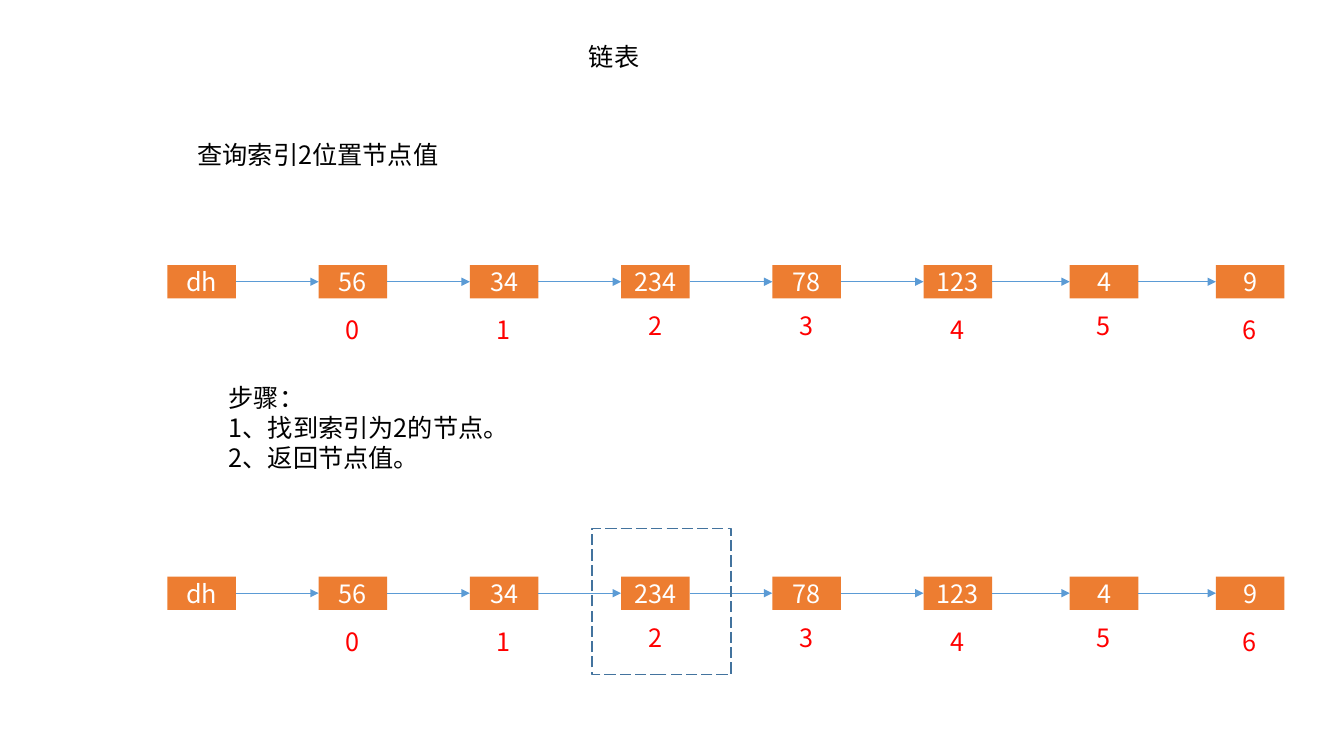
from dataclasses import dataclass
from itertools import pairwise

from lxml.etree import SubElement
from pptx import Presentation
from pptx.dml.color import RGBColor
from pptx.enum.dml import MSO_LINE
from pptx.enum.shapes import MSO_CONNECTOR, MSO_SHAPE
from pptx.enum.text import MSO_ANCHOR, MSO_AUTO_SIZE, PP_ALIGN
from pptx.oxml.ns import qn
from pptx.util import Inches, Pt


@dataclass(frozen=True)
class Theme:
    font: str = "Noto Sans CJK SC"
    size: Pt = Pt(18)
    ink: RGBColor = RGBColor(0, 0, 0)
    light: RGBColor = RGBColor(255, 255, 255)
    node: RGBColor = RGBColor.from_string("ED7D31")
    index: RGBColor = RGBColor(255, 0, 0)
    arrow: RGBColor = RGBColor.from_string("5B9BD5")
    frame: RGBColor = RGBColor.from_string("43739E")
    thin: Pt = Pt(0.5)
    edge: Pt = Pt(1)


THEME = Theme()
NODES = ["dh", "56", "34", "234", "78", "123", "4", "9"]
LEFTS = [1.66 + 1.5 * min(i, 5) + 1.45 * max(i - 5, 0) for i in range(len(NODES))]
RAISED = {2, 3, 5}
NODE_W, NODE_H = 0.68, 0.33
LABEL_W, LABEL_H = 0.34, 0.4


def apply(item, values):
    for name, value in values.items():
        setattr(item, name, value)


def place(shape, box):
    names = ("left", "top", "width", "height")
    apply(shape, dict(zip(names, map(Inches, box))))


def write(shape, text, color, align=PP_ALIGN.LEFT, **frame):
    body = shape.text_frame
    body.text = text
    apply(body, frame)
    for para in body.paragraphs:
        apply(para, {"alignment": align, "line_spacing": 1.0})
        for run in para.runs:
            apply(run.font, {"name": THEME.font, "size": THEME.size, "bold": False})
            run.font.color.rgb = color
            east = SubElement(run.font._element, qn("a:ea"))
            east.set("typeface", THEME.font)


def add_label(shapes, text, box, color=THEME.ink, wrap=True):
    label = shapes.add_textbox(*map(Inches, box))
    write(label, text, color, word_wrap=wrap, auto_size=MSO_AUTO_SIZE.SHAPE_TO_FIT_TEXT)


def add_box(shapes, box):
    shape = shapes.add_shape(MSO_SHAPE.RECTANGLE, *map(Inches, box))
    shape.shadow.inherit = False
    return shape


def add_node(shapes, text, left, top):
    node = add_box(shapes, (left, top, NODE_W, NODE_H))
    node.fill.solid()
    node.fill.fore_color.rgb = THEME.node
    node.line.fill.background()
    write(node, text, THEME.light, PP_ALIGN.CENTER, vertical_anchor=MSO_ANCHOR.MIDDLE)
    return node


def add_arrow(shapes, start, end):
    arrow = shapes.add_connector(MSO_CONNECTOR.STRAIGHT, 0, 0, 0, 0)
    arrow.begin_connect(start, 3)
    arrow.end_connect(end, 1)
    arrow.line.color.rgb = THEME.arrow
    arrow.line.width = THEME.thin
    SubElement(arrow.line._get_or_add_ln(), qn("a:tailEnd")).set("type", "triangle")
    SubElement(arrow._element.spPr, qn("a:effectLst"))


def add_list(slide, top):
    shapes = slide.shapes.add_group_shape().shapes
    nodes = [add_node(shapes, text, left, top) for text, left in zip(NODES, LEFTS)]
    for start, end in pairwise(nodes):
        add_arrow(shapes, start, end)
    for index, left in enumerate(LEFTS[1:]):
        drop = 0.4 if index in RAISED else 0.44
        box = (left + (NODE_W - LABEL_W) / 2, top + drop, LABEL_W, LABEL_H)
        add_label(shapes, str(index), box, THEME.index, wrap=False)


def add_frame(slide, box):
    frame = add_box(slide.shapes, box)
    frame.fill.background()
    frame.line.color.rgb = THEME.frame
    apply(frame.line, {"width": THEME.edge, "dash_style": MSO_LINE.LONG_DASH})


def main():
    deck = Presentation()
    apply(deck, {"slide_width": Inches(13.33), "slide_height": Inches(7.5)})
    slide = deck.slides.add_slide(deck.slide_layouts[5])

    title = slide.shapes.title
    place(title, (5.74, 0.36, 0.71, 0.4))
    write(title, "链表", THEME.ink, word_wrap=False, vertical_anchor=MSO_ANCHOR.TOP,
          auto_size=MSO_AUTO_SIZE.SHAPE_TO_FIT_TEXT)

    add_label(slide.shapes, "查询索引2位置节点值", (1.86, 1.33, 2.61, 0.4))
    steps = "步骤：\n1、找到索引为2的节点。\n2、返回节点值。"
    add_label(slide.shapes, steps, (2.17, 3.74, 2.99, 1.01))
    for top in (2.63, 5.72):
        add_list(slide, top)
    add_frame(slide, (5.87, 5.24, 1.38, 1.45))
    deck.save("out.pptx")


if __name__ == "__main__":
    main()
